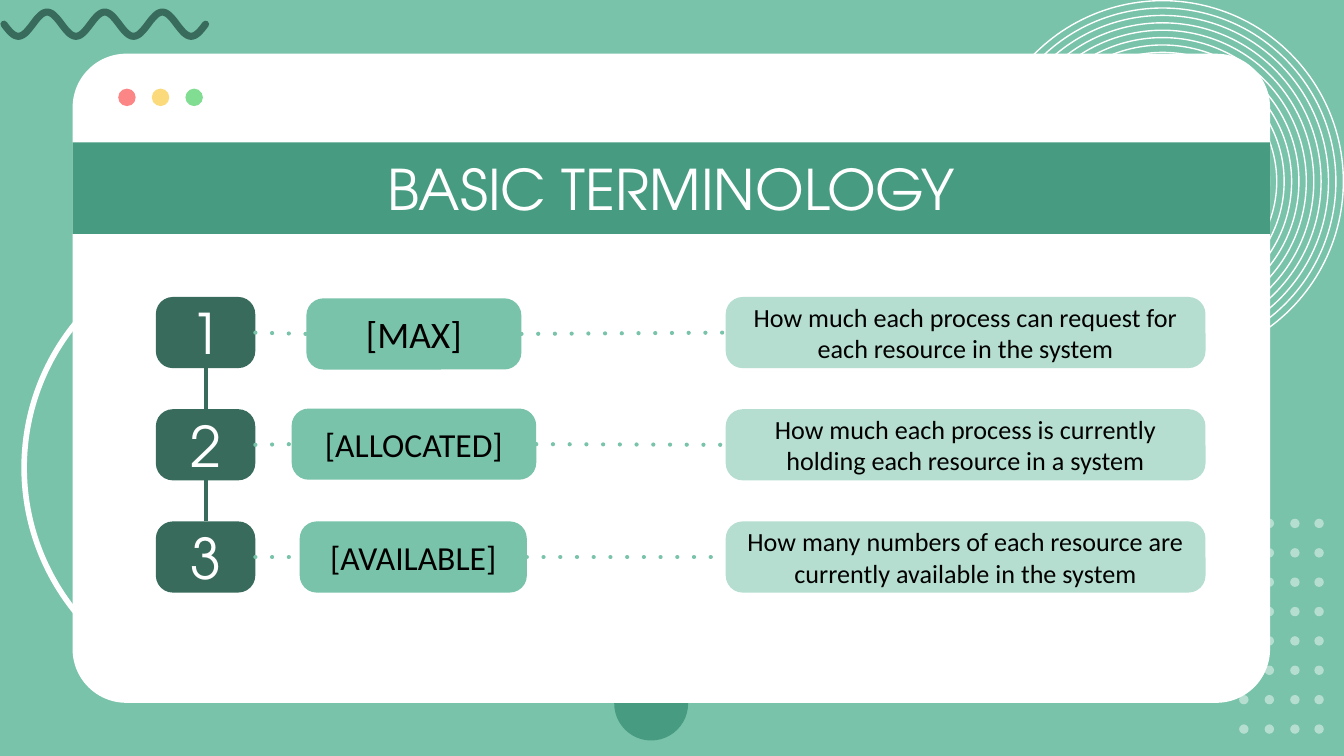
from math import pi, sin

from lxml import etree
from pptx import Presentation
from pptx.dml.color import RGBColor
from pptx.enum.shapes import MSO_CONNECTOR, MSO_SHAPE as SHAPE
from pptx.enum.text import MSO_ANCHOR, PP_ALIGN
from pptx.oxml.ns import qn
from pptx.util import Inches, Pt

COLORS = {
    "mint": "79C3AA", "pale": "B5DED0", "green": "469B80", "dark": "386B5B",
    "white": "FFFFFF", "black": "000000",
    "red": "FC8685", "yellow": "FBDA7C", "lime": "81DD91",
}
HEAD_FONT, BODY_FONT = "TeX Gyre Adventor", "Calibri"


def rgb(name):
    return RGBColor.from_string(COLORS[name])


# A 16:9 slide
prs = Presentation()
prs.slide_width = Inches(10)
prs.slide_height = Inches(10) * 9 // 16
s = prs.slides.add_slide(prs.slide_layouts[6])
s.background.fill.solid()
s.background.fill.fore_color.rgb = rgb("mint")


def add_shape(kind, x, y, w, h, fill=None, line=None, width=0.75,
              text=None, font=BODY_FONT, size=14, color="black", inset=0.1):
    sp = s.shapes.add_shape(kind, Inches(x), Inches(y), Inches(w), Inches(h))
    sp.shadow.inherit = False
    if kind == SHAPE.ROUNDED_RECTANGLE:
        sp.adjustments[0] = 0.24
    if fill:
        sp.fill.solid()
        sp.fill.fore_color.rgb = rgb(fill)
    else:
        sp.fill.background()
    if line:
        sp.line.color.rgb = rgb(line)
        sp.line.width = Pt(width)
    else:
        sp.line.fill.background()
    if text:
        tf = sp.text_frame
        tf.word_wrap = True
        tf.vertical_anchor = MSO_ANCHOR.MIDDLE
        tf.margin_left = tf.margin_right = Inches(inset)
        tf.margin_top = tf.margin_bottom = Inches(inset)
        p = tf.paragraphs[0]
        p.text = text
        p.alignment = PP_ALIGN.CENTER
        p.font.name, p.font.size = font, Pt(size)
        p.font.color.rgb = rgb(color)
    return sp


def connect(start, start_side, end, end_side, color, dotted=False):
    c = s.shapes.add_connector(MSO_CONNECTOR.STRAIGHT, 0, 0, 0, 0)
    c.begin_connect(start, start_side)
    c.end_connect(end, end_side)
    c.line.color.rgb = rgb(color)
    c.line.width = Pt(2.25)
    if dotted:
        ln = c.line._get_or_add_ln()
        ln.set("cap", "rnd")
        etree.SubElement(ln, qn("a:prstDash")).set("val", "dot")
    etree.SubElement(c._element.spPr, qn("a:effectLst"))


# Background circles
add_shape(SHAPE.OVAL, 4.57, 4.96, 0.55, 0.55, "green")
add_shape(SHAPE.OVAL, 0.18, 1.78, 3.4, 3.4, line="white", width=3)

# Dot grid: the leftmost column has only the last two rows
for x, first_row in [(9.78, 0), (9.6, 0), (9.41, 0), (9.22, 6)]:
    for row in range(first_row, 8):
        add_shape(SHAPE.OVAL, x, 3.86 + 1.53 * row / 7, 0.07, 0.07, "pale")

# Concentric rings
for i in range(11):
    d = 2.69 - 0.11 * i
    add_shape(SHAPE.OVAL, 8.65 - d / 2, 1.35 - d / 2, d, d, line="white")

# Wave: three and a half periods
STEPS = 140
wave = [(Inches(0.03 + 1.5 * i / STEPS),
         Inches(0.18 + 0.09 * sin(7 * pi * i / STEPS)))
        for i in range(STEPS + 1)]
builder = s.shapes.build_freeform(*wave[0])
builder.add_line_segments(wave[1:], close=False)
sp = builder.convert_to_shape()
sp.shadow.inherit = False
sp.fill.background()
sp.line.color.rgb = rgb("dark")
sp.line.width = Pt(3.8)
ln = sp.line._get_or_add_ln()
ln.set("cap", "rnd")
etree.SubElement(ln, qn("a:round"))

# Window with its three buttons
window = add_shape(SHAPE.ROUNDED_RECTANGLE, 0.54, 0.4, 8.91, 4.83, "white")
window.adjustments[0] = 0.4 / 4.83
for i, color in enumerate(["red", "yellow", "lime"]):
    add_shape(SHAPE.OVAL, 0.88 + 0.25 * i, 0.66, 0.13, 0.13, color)

# Rows: term, its left, top, width and size, then its meaning
rows = [
    ("[MAX]", 2.28, 2.22, 1.6, 20,
     "How much each process can request for each resource in the system"),
    ("[ALLOCATED]", 2.17, 3.04, 1.82, 18,
     "How much each process is currently holding each resource in a system"),
    ("[AVAILABLE]", 2.23, 3.88, 1.69, 18,
     "How many numbers of each resource are currently available in the system"),
]
ROUND, H = SHAPE.ROUNDED_RECTANGLE, 0.53
previous = None
for i, (term, x, term_y, w, size, meaning) in enumerate(rows):
    y = 2.21 + 1.67 * i / 2
    number = add_shape(ROUND, 1.16, y, 0.74, H, "dark", text=str(i + 1),
                       font=HEAD_FONT, size=30, color="white")
    label = add_shape(ROUND, x, term_y, w, H, "mint", text=term, size=size)
    box = add_shape(ROUND, 5.4, y, 3.57, H, "pale", text=meaning)
    connect(number, 3, label, 1, "mint", dotted=True)
    connect(label, 3, box, 1, "mint", dotted=True)
    if previous:
        connect(previous, 2, number, 0, "dark")
    previous = number

# Title band
add_shape(SHAPE.RECTANGLE, 0.54, 1.06, 8.91, 0.68, "green",
          text="BASIC TERMINOLOGY", font=HEAD_FONT, size=30, color="white",
          inset=0)

prs.save("out.pptx")
